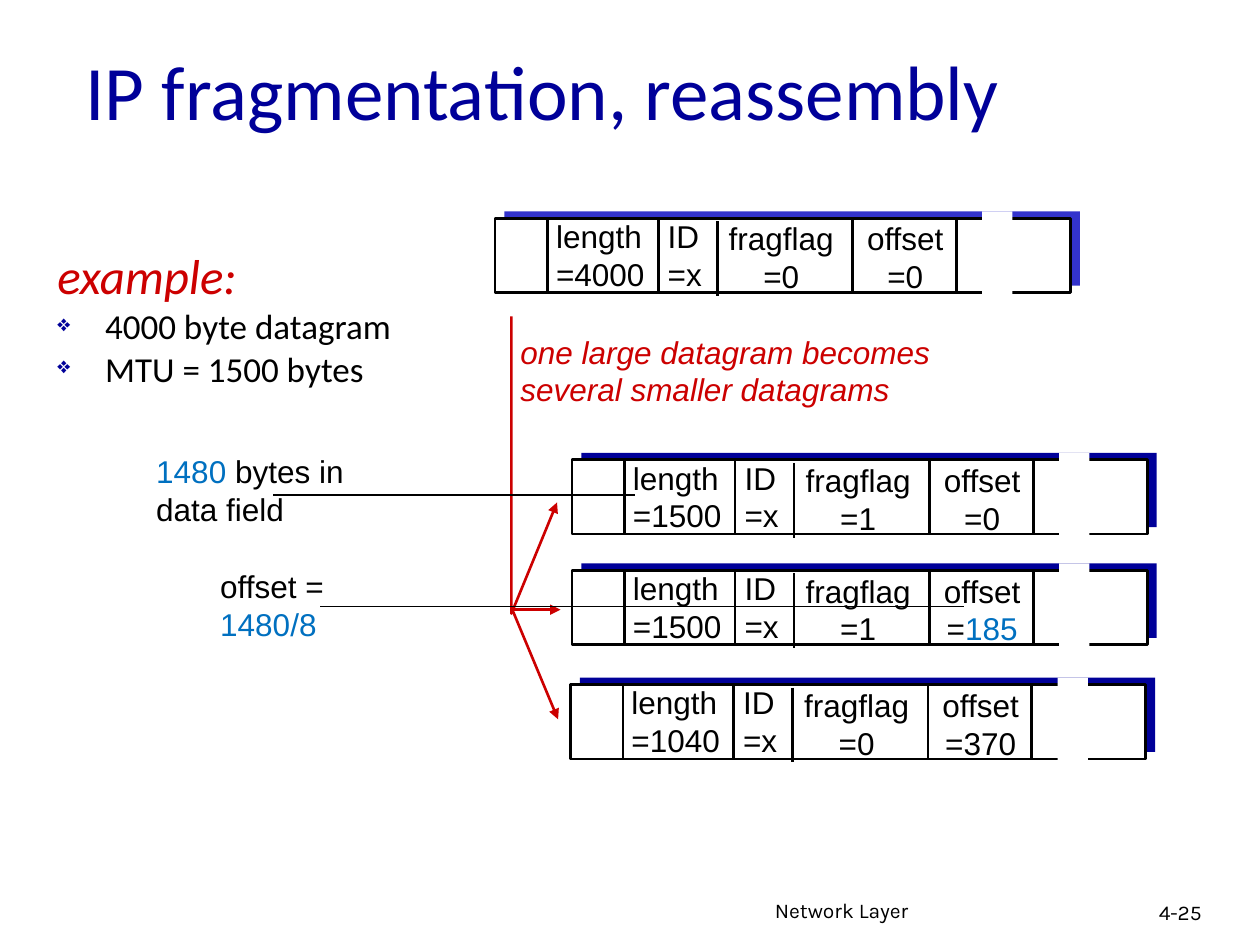
"""Build the slide on IP fragmentation and reassembly."""
from lxml.etree import SubElement
from pptx import Presentation
from pptx.dml.color import RGBColor
from pptx.enum.shapes import MSO_CONNECTOR as LINK, MSO_SHAPE as SHAPE
from pptx.enum.text import MSO_ANCHOR as ANCHOR, MSO_AUTO_SIZE as FIT, PP_ALIGN as ALIGN
from pptx.oxml.ns import qn
from pptx.util import Cm, Pt

BLACK, WHITE, RED, NAVY, BLUE = "000000", "FFFFFF", "CC0000", "000099", "0070C0"
color = RGBColor.from_string

deck = Presentation()
deck.slide_width, deck.slide_height = Cm(25.4), Cm(19.05)
slide = deck.slides.add_slide(deck.slide_layouts[6])
shapes = slide.shapes


def write(left, top, width, height, paragraphs, size=18, font="Arial",
          italic=False, align=None, wrap=False):
    """Add a text box; a run is (text, colour), and None is a line break."""
    box = shapes.add_textbox(Cm(left), Cm(top), Cm(width), Cm(height))
    frame = box.text_frame
    frame.word_wrap = wrap
    frame.auto_size = FIT.NONE if wrap else FIT.SHAPE_TO_FIT_TEXT
    for number, runs in enumerate(paragraphs):
        paragraph = frame.add_paragraph() if number else frame.paragraphs[0]
        paragraph.alignment = align
        for part in runs:
            if part is None:
                paragraph.add_line_break()
                continue
            run = paragraph.add_run()
            run.text = part[0]
            run.font.color.rgb = color(part[1])
            run.font.size, run.font.name, run.font.italic = Pt(size), font, italic
    return frame


def draw_line(x1, y1, x2, y2, hue=BLACK, weight=1.5):
    """Add a straight line without a shadow."""
    line = shapes.add_connector(LINK.STRAIGHT, Cm(x1), Cm(y1), Cm(x2), Cm(y2))
    line.line.color.rgb = color(hue)
    line.line.width = Pt(weight)
    SubElement(line._element.spPr, qn("a:effectLst"))
    return line


write(15.37, 17.96, 8.05, 0.79, [[("Network Layer", BLACK)]], 12, "Karla", wrap=True)
write(23.11, 18.01, 1.88, 0.76, [[("4-25", BLACK)]], 12, "Karla", wrap=True)

datagrams = [
    (9.98, 4.4, "3333CC", "4000", "0", [("=0", BLACK)]),
    (11.53, 9.27, NAVY, "1500", "1", [("=0", BLACK)]),
    (11.53, 11.5, NAVY, "1500", "1", [("=", BLACK), ("185", BLUE)]),
    (11.5, 13.8, NAVY, "1040", "0", [("=370", BLACK)]),
]
for left, top, backdrop, length, flag, offset in datagrams:
    for dx, dy, fill, outlined in [(0.19, -0.14, backdrop, False), (0, 0, WHITE, True)]:
        body = shapes.add_shape(SHAPE.RECTANGLE, Cm(left + dx), Cm(top + dy), Cm(11.6), Cm(1.5))
        body.shadow.inherit = False
        body.fill.solid()
        body.fill.fore_color.rgb = color(fill)
        if outlined:
            body.line.color.rgb = color(BLACK)
            body.line.width = Pt(1.5)
        else:
            body.line.fill.background()
    fields = [
        (3.23, -0.15, 1.19, "ID", [("=x", BLACK)], None),
        (7.24, -0.1, 2.06, "offset", offset, ALIGN.CENTER),
        (4.46, -0.1, 2.62, "fragflag", [(f"={flag}", BLACK)], ALIGN.CENTER),
        (0.98, -0.15, 2.29, "length", [(f"={length}", BLACK)], None),
    ]
    for dx, dy, width, field, value, align in fields:
        write(left + dx, top + dy, width, 1.78, [[(field, BLACK)], value], align=align)
    for dx, dy in [(1.06, 0), (3.29, 0), (4.48, 0.06), (7.21, 0), (9.3, 0)]:
        draw_line(left + dx, top + dy, left + dx, top + dy + 1.51)
    gap = shapes.add_shape(SHAPE.RECTANGLE, Cm(left + 9.82), Cm(top - 0.14), Cm(0.61), Cm(1.68))
    gap.shadow.inherit = False
    gap.fill.solid()
    gap.fill.fore_color.rgb = color(WHITE)
    gap.line.fill.background()

trunk = shapes.build_freeform(Cm(10.31), Cm(6.38))
trunk.add_line_segments([(Cm(10.31), Cm(12.37)), (Cm(11.23), Cm(10.13))], close=False)
split = trunk.convert_to_shape()
split.shadow.inherit = False
split.fill.background()
split.line.color.rgb = color(RED)
split.line.width = Pt(1.5)
arrows = [
    split,
    draw_line(10.31, 12.29, 11.3, 12.29, RED),
    draw_line(10.34, 12.32, 11.25, 14.5, RED),
]
for arrow in arrows:
    SubElement(arrow.line._get_or_add_ln(), qn("a:tailEnd"), type="triangle")

write(10.24, 6.58, 8.76, 1.78,
      [[("one large datagram becomes", RED)], [("several smaller datagrams", RED)]], italic=True)

example = write(0.91, 5, 7.87, 4.67,
                [[("example:", RED)], [("4000 byte datagram", BLACK)], [("MTU = 1500 bytes", BLACK)]],
                20, "Calibri", wrap=True)
heading = example.paragraphs[0].runs[0].font
heading.size, heading.italic = Pt(28), True
for item in example.paragraphs:
    item.line_spacing = 0.85
    item.space_before = Pt(0.2 * item.runs[0].font.size.pt)
    settings = item._p.get_or_add_pPr()
    settings.set("marL", str(Cm(0.96)))
    settings.set("indent", str(-Cm(0.96)))
    if item is not example.paragraphs[0] and item.runs[0].font.size == Pt(20):
        SubElement(SubElement(settings, qn("a:buClr")), qn("a:srgbClr"), val=NAVY)
        SubElement(settings, qn("a:buSzPct"), val="65000")
        SubElement(settings, qn("a:buChar"), char="❖")

write(2.9, 8.99, 4.47, 1.78,
      [[("1480", BLUE), (" bytes in ", BLACK), None, ("data field", BLACK)]])
write(4.19, 11.3, 2.62, 1.78, [[("offset =", BLACK)], [("1480/8", BLUE)]])

title = write(1.47, 0.51, 21.59, 2.59, [[("IP fragmentation, reassembly", NAVY)]],
              44, "Calibri", wrap=True)
title.vertical_anchor = ANCHOR.MIDDLE

draw_line(5.51, 9.98, 12.8, 9.98, weight=0.75)
draw_line(19.43, 12.22, 6.45, 12.22, weight=0.75)

deck.save("out.pptx")
